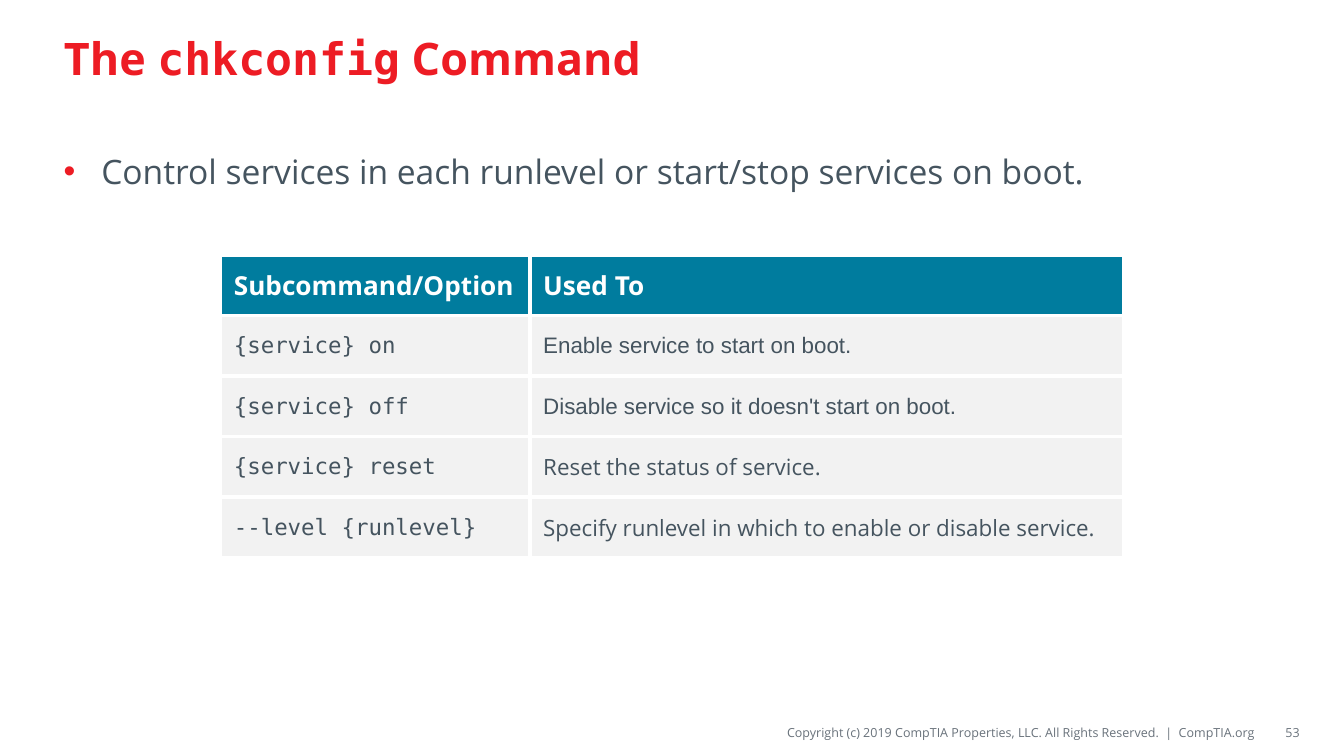
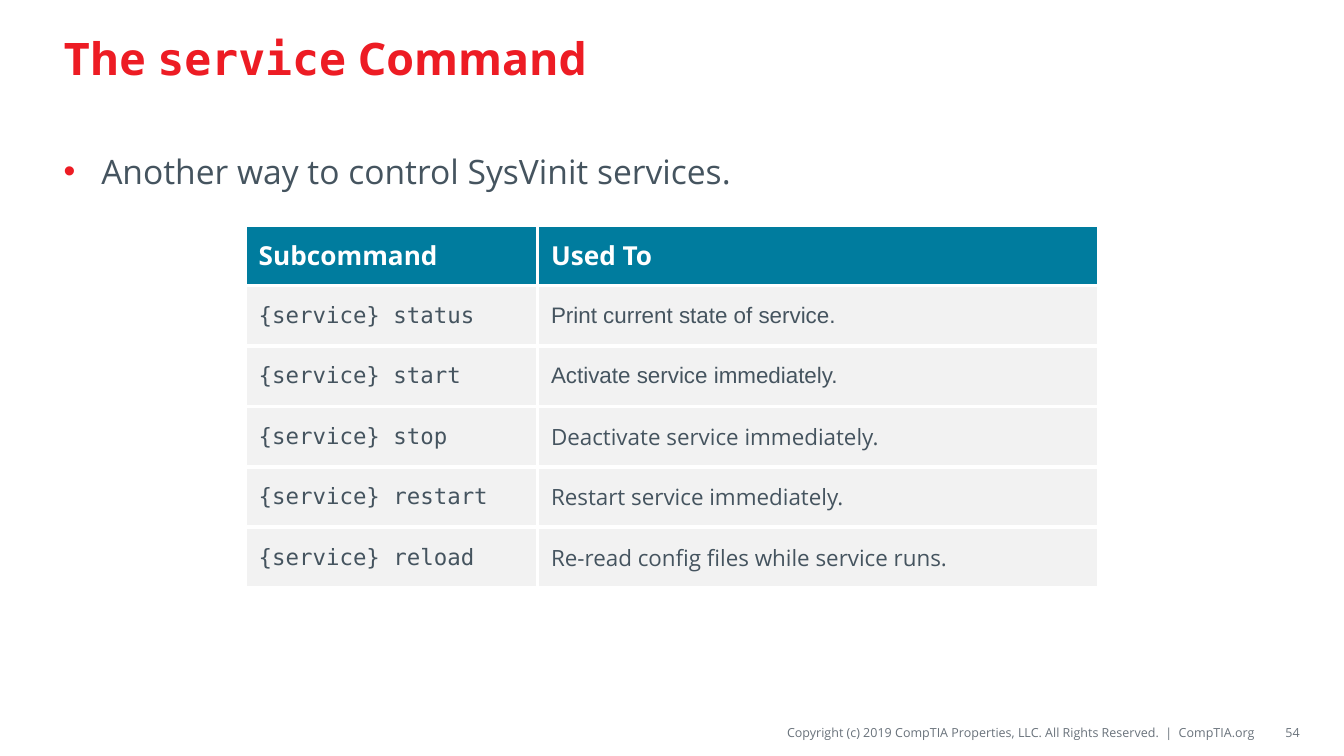
from lxml import etree
from pptx import Presentation
from pptx import util as u
from pptx.dml import color
from pptx.enum import text
from pptx.oxml import ns

SANS, MONO, PLAIN = "Open Sans", "DejaVu Sans Mono", "Arial"
RED, SLATE, GREY = "ED1C24", "45545F", "69727B"
TEAL, PALE, WHITE = "007C9E", "F2F2F2", "FFFFFF"
COPYRIGHT = ("Copyright (c) 2019 CompTIA Properties, LLC. All Rights Reserved."
             "  |  CompTIA.org")
MARGIN, CONTENT_WIDTH = 3.75, 92.5
FOOTER_TOP, FOOTER_HEIGHT = 95, 3.9
ROW_HEIGHT, FIRST_COLUMN = 8, 34.25
PLAIN_ROWS = 2


def rgb(value):
    return color.RGBColor.from_string(value)


def element(parent, tag, **attributes):
    return etree.SubElement(parent, ns.qn(tag), **attributes)


class Deck:
    def __init__(self):
        self.prs = Presentation()
        self.prs.slide_width = u.Inches(10)
        self.prs.slide_height = u.Emu(self.prs.slide_width * 9 // 16)
        self.slide = None

    def x(self, percent):
        return u.Emu(round(self.prs.slide_width * percent / 100))

    def y(self, percent):
        return u.Emu(round(self.prs.slide_height * percent / 100))

    def run(self, paragraph, words, size, fill, face=SANS, bold=False):
        run = paragraph.add_run()
        run.text = words
        font = run.font
        font.name, font.size, font.bold = face, u.Pt(size), bold
        font.color.rgb = rgb(fill)

    def place(self, shape, left, top, width, height):
        shape.left, shape.top = self.x(left), self.y(top)
        shape.width, shape.height = self.x(width), self.y(height)

    def box(self, left, top, width, height):
        frame = self.slide.shapes.add_textbox(
            self.x(left), self.y(top), self.x(width), self.y(height)).text_frame
        frame.word_wrap = True
        return frame

    def title(self, command):
        self.slide = self.prs.slides.add_slide(self.prs.slide_layouts[5])
        heading = self.slide.shapes.title
        self.place(heading, MARGIN, 1.5, CONTENT_WIDTH, 12.3)
        frame = heading.text_frame
        frame.word_wrap = True
        frame.auto_size = text.MSO_AUTO_SIZE.NONE
        frame.vertical_anchor = text.MSO_ANCHOR.MIDDLE
        line = frame.paragraphs[0]
        line.alignment = text.PP_ALIGN.LEFT
        for words, face in (("The ", SANS), (command, MONO), (" Command", SANS)):
            self.run(line, words, 24, RED, face, True)

    def footer_text(self, words, left, width):
        frame = self.box(left, FOOTER_TOP, width, FOOTER_HEIGHT)
        frame.vertical_anchor = text.MSO_ANCHOR.MIDDLE
        frame.margin_left = frame.margin_right = 0
        line = frame.paragraphs[0]
        line.alignment = text.PP_ALIGN.RIGHT
        self.run(line, words, 6.75, GREY)

    def footer(self, page):
        self.footer_text(COPYRIGHT, 38.75, 54.7)
        self.footer_text(str(page), 93.8, 2.9)

    def bullet(self, words):
        line = self.box(MARGIN, 19.1, CONTENT_WIDTH, 69.3).paragraphs[0]
        properties = line._p.get_or_add_pPr()
        indent = u.Inches(0.28)
        properties.set("marL", str(indent))
        properties.set("indent", str(-indent))
        element(element(properties, "a:buClr"), "a:srgbClr", val=RED)
        element(properties, "a:buFont", typeface=PLAIN)
        element(properties, "a:buChar", char="•")
        self.run(line, words, 18, SLATE)

    def cell(self, cell, words, size, ink, face, bold, fill):
        properties = cell._tc.get_or_add_tcPr()
        for side in ("a:lnL", "a:lnR", "a:lnT", "a:lnB"):
            border = element(properties, side, w=str(u.Pt(2.25)))
            element(element(border, "a:solidFill"), "a:srgbClr", val=WHITE)
        cell.fill.solid()
        cell.fill.fore_color.rgb = rgb(fill)
        cell.vertical_anchor = text.MSO_ANCHOR.MIDDLE
        self.run(cell.text_frame.paragraphs[0], words, size, ink, face, bold)

    def table(self, top, width, header, entries):
        rows = [header, *entries]
        table = self.slide.shapes.add_table(
            len(rows), 2, self.x((100 - width) / 2), self.y(top),
            self.x(width), self.y(ROW_HEIGHT * len(rows))).table
        table.first_row = table.horz_banding = False
        for column, share in zip(table.columns, (FIRST_COLUMN, 100 - FIRST_COLUMN)):
            column.width = self.x(width * share / 100)
        for index, row in enumerate(rows):
            table.rows[index].height = self.y(ROW_HEIGHT)
            usage_face = PLAIN if index <= PLAIN_ROWS else SANS
            for column, (words, face) in enumerate(zip(row, (MONO, usage_face))):
                style = ((14, WHITE, SANS, True, TEAL) if index == 0
                         else (12, SLATE, face, False, PALE))
                self.cell(table.cell(index, column), words, *style)


def main():
    deck = Deck()

    deck.title("chkconfig")
    deck.footer(53)
    deck.bullet("Control services in each runlevel or start/stop services on boot.")
    deck.table(33.75, 67.2, ("Subcommand/Option", "Used To"), [
        ("{service} on", "Enable service to start on boot."),
        ("{service} off", "Disable service so it doesn't start on boot."),
        ("{service} reset", "Reset the status of service."),
        ("--level {runlevel}",
         "Specify runlevel in which to enable or disable service."),
    ])

    deck.title("service")
    deck.footer(54)
    deck.bullet("Another way to control SysVinit services.")
    deck.table(29.75, 63.5, ("Subcommand", "Used To"), [
        ("{service} status", "Print current state of service."),
        ("{service} start", "Activate service immediately."),
        ("{service} stop", "Deactivate service immediately."),
        ("{service} restart", "Restart service immediately."),
        ("{service} reload", "Re-read config files while service runs."),
    ])

    deck.prs.save("out.pptx")


if __name__ == "__main__":
    main()
